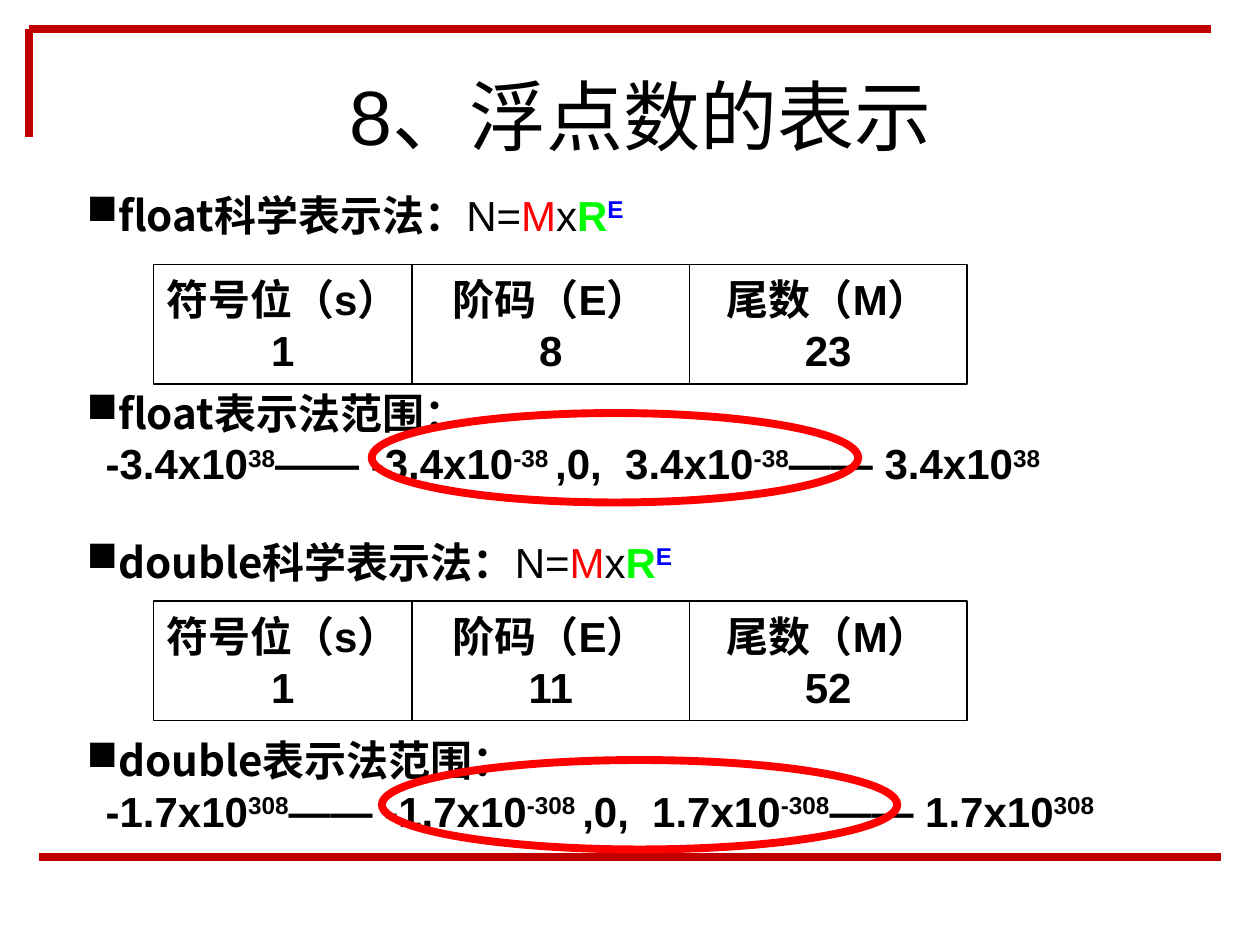
from lxml.etree import SubElement
from pptx import Presentation
from pptx.dml.color import RGBColor
from pptx.enum.shapes import MSO_CONNECTOR as Connector, MSO_SHAPE as Shape
from pptx.enum.text import MSO_ANCHOR as Anchor, PP_ALIGN as Align
from pptx.oxml.ns import qn
from pptx.util import Pt

BLACK = RGBColor(0x00, 0x00, 0x00)
WHITE = RGBColor(0xFF, 0xFF, 0xFF)
RED = RGBColor(0xFF, 0x00, 0x00)
GREEN = RGBColor(0x00, 0xFF, 0x00)
BLUE = RGBColor(0x00, 0x00, 0xFF)
FRAME_RED = RGBColor(0xC0, 0x00, 0x00)
LATIN, CHINESE = "Arial", "Noto Sans CJK SC"


def add_run(paragraph, text, raised=False, color=BLACK, **changes):
    run = paragraph.add_run()
    run.text = text
    style = {"name": LATIN, "size": Pt(24), "bold": True} | changes
    for key, value in style.items():
        setattr(run.font, key, value)
    run.font.color.rgb = color
    properties = run._r.get_or_add_rPr()
    SubElement(properties, qn("a:ea")).set("typeface", CHINESE)
    if raised:
        properties.set("baseline", "30000")


def add_box(left, top, width, height, bullet_text=None):
    frame = slide.shapes.add_textbox(Pt(left), Pt(top), Pt(width), Pt(height)).text_frame
    layout = {"word_wrap": True, "vertical_anchor": Anchor.MIDDLE, "margin_right": 0}
    for key, value in layout.items():
        setattr(frame, key, value)
    if bullet_text:
        first = frame.paragraphs[0]
        bullet = SubElement(first._p.get_or_add_pPr(), qn("a:buChar"))
        bullet.set("char", "■")
        add_run(first, bullet_text, name=CHINESE)
    return frame


deck = Presentation()
deck.slide_width, deck.slide_height = Pt(720), Pt(540)
slide = deck.slides.add_slide(deck.slide_layouts[6])

# Red frame lines
for ends in [(16.8, 78.5, 16.8, 16.8), (16.8, 16.8, 692, 16.8), (22.5, 489.5, 697.5, 489.5)]:
    edge = slide.shapes.add_connector(Connector.STRAIGHT, *map(Pt, ends))
    edge.line.color.rgb = FRAME_RED
    edge.line.width = Pt(4.5)
    SubElement(edge._element.spPr, qn("a:effectLst"))

# Title
title = add_box(76.5, 43.2, 579.6, 44.6)
title.margin_right = Pt(7.2)
title.paragraphs[0].alignment = Align.CENTER
add_run(title.paragraphs[0], "8、浮点数的表示", size=Pt(44), bold=False)

# One section per type: name, bit counts, mantissa, exponent,
# tops of heading, fields and range, then the ring's left, top and width
sections = [
    ("float", (1, 8, 23), "3.4", "38", 100, 151, 219, (212.4, 236, 278)),
    ("double", (1, 11, 52), "1.7", "308", 298, 343.5, 417.5, (218.2, 434.3, 294.5)),
]
fields = [("符号位（s）", 147.6), ("阶码（E）", 158.6), ("尾数（M）", 158.6)]

for name, bits, mantissa, exponent, heading_top, fields_top, range_top, _ in sections:
    # Heading with the formula
    formula = add_box(42.5, heading_top, 357, 45.4, f"{name}科学表示法：").paragraphs[0]
    add_run(formula, "N=", bold=False)
    add_run(formula, "M", bold=False, color=RED)
    add_run(formula, "x", bold=False)
    add_run(formula, "R", color=GREEN)
    add_run(formula, "E", raised=True, color=BLUE)

    # Bit fields
    layout_group = slide.shapes.add_group_shape()
    left = 87.8
    for (label, width), count in zip(fields, bits):
        field = layout_group.shapes.add_shape(
            Shape.RECTANGLE, Pt(left), Pt(fields_top), Pt(width), Pt(68.4))
        field.shadow.inherit = False
        field.fill.solid()
        field.fill.fore_color.rgb = WHITE
        field.line.color.rgb = BLACK
        field.line.width = Pt(0.75)
        frame = field.text_frame
        frame.word_wrap = False
        frame.vertical_anchor = Anchor.MIDDLE
        for line, text in [(frame.paragraphs[0], label), (frame.add_paragraph(), str(count))]:
            line.alignment = Align.CENTER
            add_run(line, text)
        left += width

    # Value range
    limits = add_box(42.5, range_top, 640.8, 62.6, f"{name}表示法范围：").add_paragraph()
    limits._p.get_or_add_pPr().set("marL", str(Pt(10.8)))
    for base, power in [
        (f"-{mantissa}x10", exponent),
        (f"—— -{mantissa}x10", f"-{exponent} "),
        (f",0,  {mantissa}x10", f"-{exponent}"),
        (f"—— {mantissa}x10", exponent),
    ]:
        add_run(limits, base)
        add_run(limits, power, raised=True)

# Rings around the values near zero
for *_, (left, top, width) in sections:
    ring = slide.shapes.add_shape(Shape.OVAL, Pt(left), Pt(top), Pt(width), Pt(51.1))
    ring.shadow.inherit = False
    ring.fill.background()
    ring.line.color.rgb = RED
    ring.line.width = Pt(4.5)

deck.save("out.pptx")
